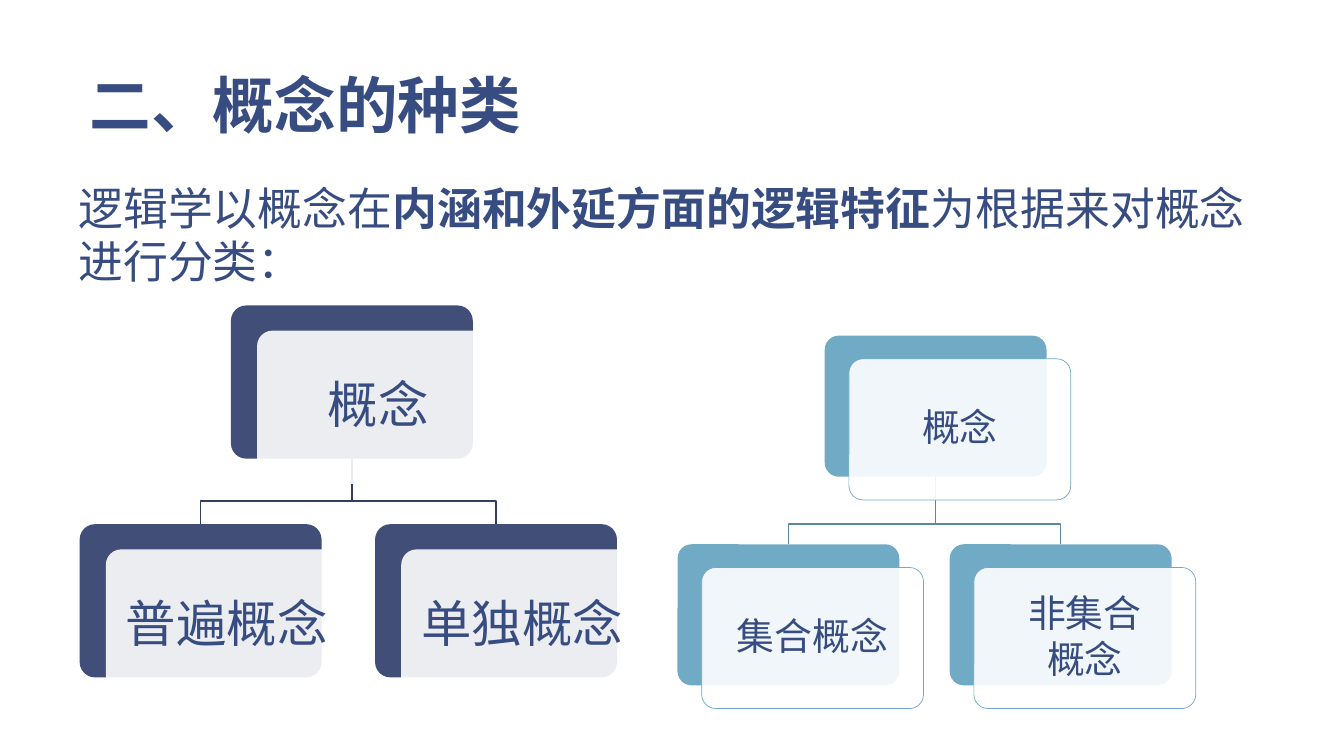
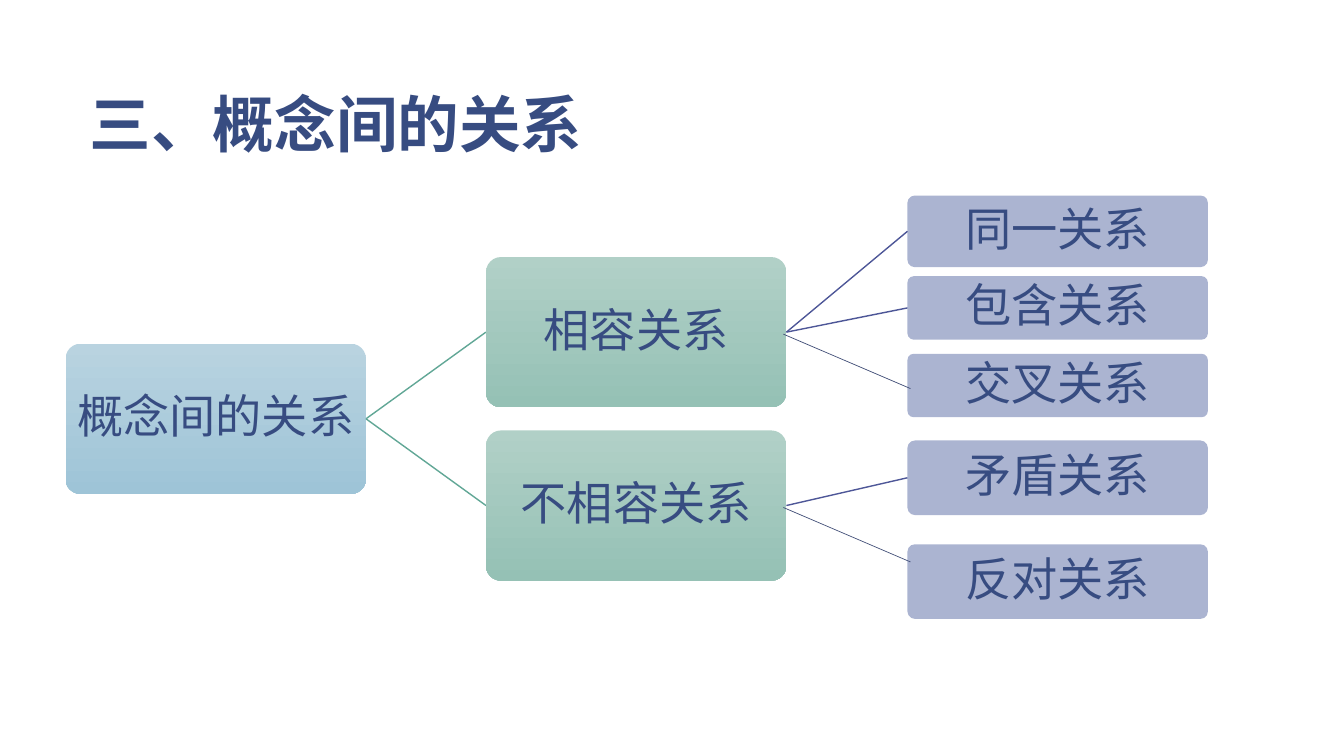
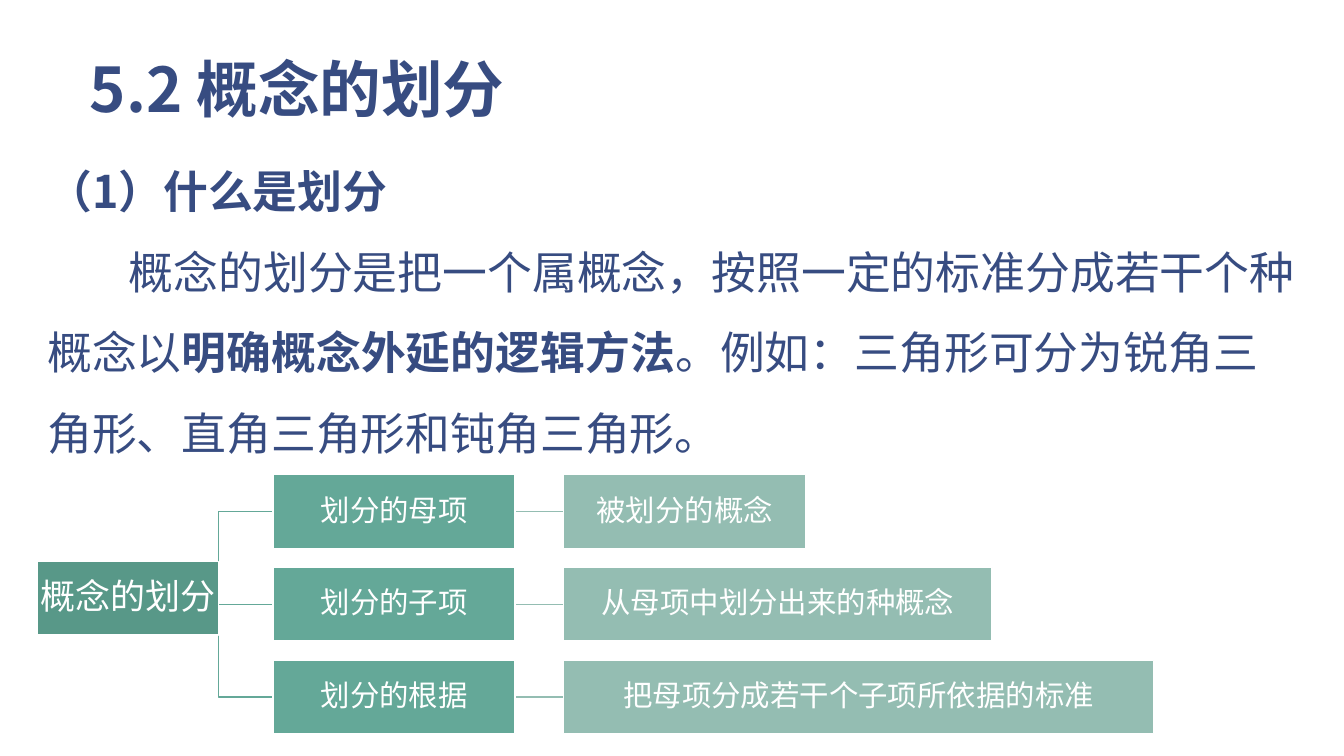
"""Builds three slides on the kinds, relations and division of concepts."""
import pptx
import pptx.util
import pptx.dml.color
import pptx.enum.dml
import pptx.enum.shapes
import pptx.enum.text
import pptx.oxml.ns
from lxml import etree

Inches = pptx.util.Inches
Pt = pptx.util.Pt
qn = pptx.oxml.ns.qn
SHAPE = pptx.enum.shapes.MSO_SHAPE
CONNECTOR = pptx.enum.shapes.MSO_CONNECTOR
ANCHOR = pptx.enum.text.MSO_ANCHOR
ALIGN = pptx.enum.text.PP_ALIGN

COLORS = {
    "text": "374C81",
    "white": "FFFFFF",
    "navy": "414E77",
    "navy_line": "343E5F",
    "sky": "70AAC4",
    "sky_line": "5A889D",
    "blue_light": "B9D3E0",
    "blue_dark": "9EC4D7",
    "mint_light": "B1D0C7",
    "mint_dark": "95C1B5",
    "mint_line": "61A796",
    "lilac": "ABB4D1",
    "lilac_line": "4E5798",
    "green_deep": "589888",
    "green": "64A898",
    "green_pale": "94BDB2",
}


class Deck:
    FONT = "Noto Sans CJK SC"
    NODE_FONT = "TeX Gyre Adventor"

    def __init__(self):
        self.prs = pptx.Presentation()
        self.prs.slide_width = Inches(13.33)
        self.prs.slide_height = Inches(7.5)
        self.s = None

    def color(self, name):
        return pptx.dml.color.RGBColor.from_string(COLORS[name])

    def new_slide(self, title, title_height):
        self.s = self.prs.slides.add_slide(self.prs.slide_layouts[6])
        tf = self.text_box(0.76, 0.13, 11.11, title_height, [[(title, True)]], 44, 0.85)
        tf.vertical_anchor = ANCHOR.BOTTOM
        tf.margin_left = tf.margin_right = Inches(0.13)
        tf.margin_top = tf.margin_bottom = Inches(0.07)

    def format_run(self, r, size, color, font, bold=False):
        r.font.size = Pt(size)
        r.font.bold = bold
        r.font.name = font
        r.font.color.rgb = self.color(color)
        ea = etree.SubElement(r.font._element, qn("a:ea"))
        ea.set("typeface", self.FONT)

    def text_box(self, x, y, w, h, paragraphs, size, spacing):
        tf = self.s.shapes.add_textbox(Inches(x), Inches(y), Inches(w), Inches(h)).text_frame
        tf.word_wrap = True
        for i, runs in enumerate(paragraphs):
            p = tf.add_paragraph() if i else tf.paragraphs[0]
            p.line_spacing = spacing
            for text, bold in runs:
                r = p.add_run()
                r.text = text
                self.format_run(r, size, "text", self.FONT, bold)
        return tf

    def box(self, x, y, w, h, fill, text="", size=0, color="text",
            rounded=True, line=None, line_width=1):
        kind = SHAPE.ROUNDED_RECTANGLE if rounded else SHAPE.RECTANGLE
        sp = self.s.shapes.add_shape(kind, Inches(x), Inches(y), Inches(w), Inches(h))
        sp.shadow.inherit = False
        if rounded:
            sp.adjustments[0] = 0.1
        if isinstance(fill, tuple):
            sp.fill.gradient()
            sp.fill.gradient_angle = 270
            for stop, name in zip(sp.fill.gradient_stops, fill):
                stop.color.rgb = self.color(name)
        else:
            sp.fill.solid()
            sp.fill.fore_color.rgb = self.color(fill)
        if line:
            sp.line.color.rgb = self.color(line)
            sp.line.width = Pt(line_width)
        else:
            sp.line.fill.background()
        if text:
            self.node_text(sp.text_frame, text, size, color)
        return sp

    def node_text(self, tf, text, size, color):
        tf.text = text
        tf.word_wrap = True
        tf.vertical_anchor = ANCHOR.MIDDLE
        tf.margin_left = tf.margin_right = tf.margin_top = tf.margin_bottom = 0
        for p in tf.paragraphs:
            p.alignment = ALIGN.CENTER
            p.line_spacing = 0.9
            p.space_after = Pt(3.5)
            for r in p.runs:
                self.format_run(r, size, color, self.NODE_FONT)

    def link(self, start, end, color, width=1, kind=CONNECTOR.STRAIGHT):
        cn = self.s.shapes.add_connector(kind, *map(Inches, start + end))
        cn.line.color.rgb = self.color(color)
        cn.line.width = Pt(width)
        etree.SubElement(cn._element.spPr, qn("a:effectLst"))

    def bent_line(self, points, color):
        pts = [(Inches(x), Inches(y)) for x, y in points]
        builder = self.s.shapes.build_freeform(*pts[0])
        builder.add_line_segments(pts[1:], close=False)
        sp = builder.convert_to_shape()
        sp.shadow.inherit = False
        sp.fill.background()
        sp.line.color.rgb = self.color(color)
        sp.line.width = Pt(1)

    def card(self, x, y, w, h, shift, fill, outline, text, size):
        self.box(x, y, w, h, fill)
        sheet = self.box(x + shift[0], y + shift[1], w, h, "white", text, size,
                         line=outline, line_width=0.5)
        srgb = sheet._element.spPr.find(qn("a:solidFill")).find(qn("a:srgbClr"))
        etree.SubElement(srgb, qn("a:alpha")).set("val", "90000")

    def card_tree(self, root, children, w, h, shift, drop, fill, line, outline, size):
        x, y, _ = root
        mid = x + w / 2
        for cx, cy, _ in reversed(children):
            end = cx + w / 2
            self.bent_line([(mid, y + h), (mid, cy - drop), (end, cy - drop), (end, cy)], line)
        for cx, cy, text in [root] + children:
            self.card(cx, cy, w, h, shift, fill, outline, text, size)


def kinds_slide(deck):
    deck.new_slide("二、概念的种类", 1.34)
    deck.text_box(0.68, 1.74, 12.21, 1.18, [[
        ("逻辑学以概念在", False),
        ("内涵和外延方面的逻辑特征", True),
        ("为根据来对概念进行分类：", False),
    ]], 32, 1.0)
    deck.card_tree((2.29, 3.03, "概念"),
                   [(0.79, 5.2, "普遍概念"), (3.72, 5.2, "单独概念")],
                   2.4, 1.52, (0.26, 0.25), 0.23, "navy", "navy_line", None, 36)
    deck.card_tree((8.18, 3.33, "概念"),
                   [(6.72, 5.4, "集合概念"), (9.42, 5.4, "非集合\n概念")],
                   2.2, 1.4, (0.24, 0.23), 0.2, "sky", "sky_line", "sky", 27)


def relations_slide(deck):
    deck.new_slide("三、概念间的关系", 1.53)
    w, h = 2.98, 1.49
    root_x, branch_x, leaf_x = 0.65, 4.82, 9
    root_y = 3.41
    deck.box(root_x, root_y, w, h, ("blue_light", "blue_dark"), "概念间的关系", 33)
    branches = [
        ("相容关系", 2.55, [("同一关系", 1.94, 0.71), ("包含关系", 2.74, 0.63),
                        ("交叉关系", 3.51, 0.63)]),
        ("不相容关系", 4.27, [("矛盾关系", 4.37, 0.74), ("反对关系", 5.4, 0.74)]),
    ]
    for name, y, leaves in branches:
        mid = y + h / 2
        deck.link((root_x + w, root_y + h / 2), (branch_x, mid), "mint_line")
        deck.box(branch_x, y, w, h, ("mint_light", "mint_dark"), name, 33)
        for leaf, leaf_y, leaf_h in leaves:
            deck.box(leaf_x, leaf_y, w, leaf_h, "lilac", leaf, 33)
        for leaf, leaf_y, leaf_h in leaves[:-1]:
            deck.link((branch_x + w, mid), (leaf_x, leaf_y + leaf_h / 2), "lilac_line")
        deck.link((7.77, mid + 0.02), (9.03, mid + 0.56), "navy", 0.5)


def division_slide(deck):
    deck.new_slide("5.2 概念的划分", 1.18)
    tf = deck.text_box(0.37, 1.31, 12.6, 4.14, [
        [("（1）什么是划分", True)],
        [("概念的划分是把一个属概念，按照一定的标准分成若干个种概念以", False),
         ("明确概念外延的逻辑方法", True),
         ("。例如：三角形可分为锐角三角形、直角三角形和钝角三角形。", False)],
    ], 32, 1.5)
    tf.paragraphs[1]._p.get_or_add_pPr().set("indent", str(Inches(0.81)))

    h, step, top = 0.73, 0.92, 4.71
    part_x, part_w, meaning_x = 2.71, 2.4, 5.59
    rows = [
        ("划分的母项", "被划分的概念", 2.4),
        ("划分的子项", "从母项中划分出来的种概念", 4.25),
        ("划分的根据", "把母项分成若干个子项所依据的标准", 5.85),
    ]
    style = {"color": "white", "rounded": False, "line": "white"}
    for i, (part, meaning, meaning_w) in enumerate(rows):
        y = top + i * step
        mid = y + h / 2
        deck.link((1.63, 5.94), (part_x, mid), "green", kind=CONNECTOR.ELBOW)
        deck.link((part_x + part_w, mid), (meaning_x, mid), "green_pale")
        deck.box(part_x, y, part_w, h, "green", part, 21, **style)
        deck.box(meaning_x, y, meaning_w, h, "green_pale", meaning, 21, **style)
    deck.box(0.37, 5.57, 1.8, h, "green_deep", "概念的划分", 25, **style)


def main():
    deck = Deck()
    kinds_slide(deck)
    relations_slide(deck)
    division_slide(deck)
    deck.prs.save("out.pptx")


if __name__ == "__main__":
    main()
